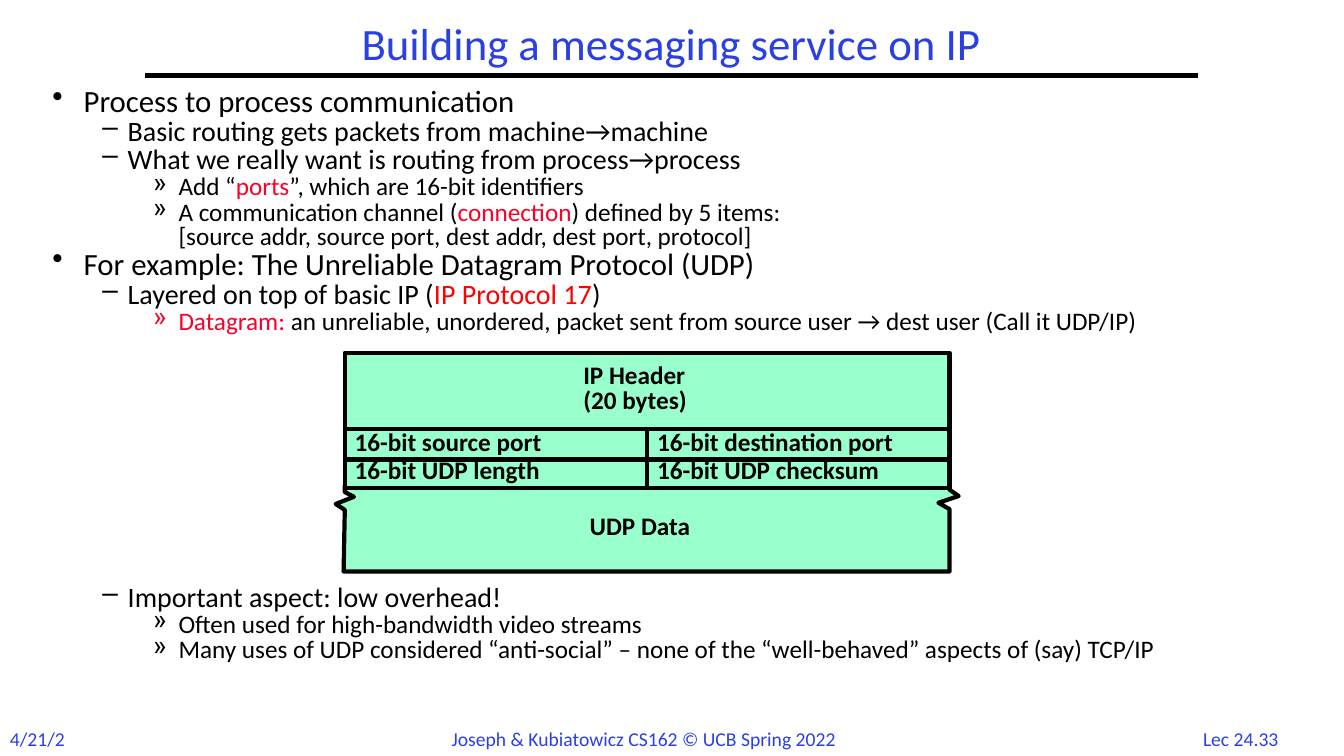
from lxml import etree
from pptx import Presentation
from pptx import util as u
from pptx.dml.color import RGBColor
from pptx.enum import shapes, text
from pptx.oxml.ns import qn

Cm, Pt = u.Cm, u.Pt
FONT = "Calibri"
HUE = {"blue": "2A40E2", "black": "000000", "rose": "FC0128",
       "red": "FF0000", "mint": "99FFCC"}
MID = text.MSO_ANCHOR.MIDDLE
CENTER = text.PP_ALIGN.CENTER

deck = Presentation()
deck.slide_width, deck.slide_height = Cm(33.87), Cm(19.05)
slide = deck.slides.add_slide(deck.slide_layouts[6])


def style(para, size, hue="black", bold=False, space=1.0):
    para.line_spacing = space
    font = para.font
    font.name, font.size, font.bold = FONT, Pt(size), bold
    font.color.rgb = RGBColor.from_string(HUE[hue])


def paint(shape):
    shape.shadow.inherit = False
    shape.fill.solid()
    shape.fill.fore_color.rgb = RGBColor.from_string(HUE["mint"])
    shape.line.color.rgb = RGBColor.from_string(HUE["black"])
    shape.line.width = Pt(3)


# Footer
for left, width, words, align in [
        (29.9, 2.74, "Lec 24.33", CENTER),
        (0, 2.03, "4/21/22", None),
        (11.13, 10.49, "Joseph & Kubiatowicz CS162 © UCB Spring 2022", None)]:
    box = slide.shapes.add_textbox(Cm(left), Cm(18.19), Cm(width), Cm(0.86))
    box.text_frame.word_wrap = False
    para = box.text_frame.paragraphs[0]
    para.text, para.alignment = words, align
    style(para, 14, "blue")

# Title and rule
rule = slide.shapes.add_connector(shapes.MSO_CONNECTOR.STRAIGHT,
                                  Cm(3.66), Cm(1.9), Cm(30.2), Cm(1.9))
rule.line.color.rgb = RGBColor.from_string(HUE["black"])
rule.line.width = Pt(3)
etree.SubElement(rule._element.spPr, qn("a:effectLst"))

title = slide.shapes.add_textbox(Cm(3.66), Cm(0.43), Cm(26.52), Cm(1.47))
title.text_frame.word_wrap = True
title.text_frame.vertical_anchor = MID
para = title.text_frame.paragraphs[0]
para.text, para.alignment = "Building a messaging service on IP", CENTER
style(para, 32, "blue", space=0.9)

# Bullets: level, then runs as plain text or (text, hue)
upper = [
    (0, ["Process to process communication"]),
    (1, ["Basic routing gets packets from machine→machine"]),
    (1, ["What we really want is routing from process→process"]),
    (2, ["Add “", ("ports", "rose"), "”, which are 16-bit identifiers"]),
    (2, ["A communication channel (", ("connection", "rose"),
         ") defined by 5 items:", "\n",
         "[source addr, source port, dest addr, dest port, protocol]"]),
    (0, ["For example: The Unreliable Datagram Protocol (UDP)"]),
    (1, ["Layered on top of basic IP (", ("IP Protocol 17", "red"), ")"]),
    (2, [("Datagram:", "rose"), " an unreliable, unordered, packet sent "
         "from source user → dest user (Call it UDP/IP)"]),
]
lower = [
    (1, ["Important aspect: low overhead!"]),
    (2, ["Often used for high-bandwidth video streams"]),
    (2, ["Many uses of UDP considered “anti-social” – none of the "
         "“well-behaved” aspects of (say) TCP/IP"]),
]
levels = [("•", 0.79, 0.79, 22), ("–", 1.9, 0.64, 20), ("»", 3.18, 0.64, 18)]

for top, height, items in [(2.11, 6.5, upper), (14.63, 2.4, lower)]:
    box = slide.shapes.add_textbox(Cm(1.07), Cm(top), Cm(32.59), Cm(height))
    frame = box.text_frame
    frame.word_wrap = True
    for i, (level, runs) in enumerate(items):
        para = frame.add_paragraph() if i else frame.paragraphs[0]
        mark, margin, hang, size = levels[level]
        para.level = level
        props = para._p.get_or_add_pPr()
        props.set("marL", str(Cm(margin)))
        props.set("indent", str(-Cm(hang)))
        etree.SubElement(props, qn("a:buChar")).set("char", mark)
        style(para, size, space=0.8)
        if i:
            para.space_before = Pt(1)
        for part in runs:
            if part == "\n":
                para.add_line_break()
                continue
            words, hue = (part, None) if isinstance(part, str) else part
            run = para.add_run()
            run.text = words
            if hue:
                run.font.color.rgb = RGBColor.from_string(HUE[hue])

# Data block with torn sides
torn = [(8.66, 14.4), (23.93, 14.4), (23.93, 12.83), (23.65, 12.67),
        (24.16, 12.5), (23.93, 12.34), (23.93, 12.24), (8.69, 12.24),
        (8.69, 12.4), (8.92, 12.52), (8.46, 12.7), (8.69, 12.85)]
edge = [(Cm(x), Cm(y)) for x, y in torn]
path = slide.shapes.build_freeform(*edge[0])
path.add_line_segments(edge[1:], close=True)
paint(path.convert_to_shape())

# Header fields, lower row first
fields = [["16-bit source port", "16-bit destination port"],
          ["16-bit UDP length", "16-bit UDP checksum"]]
for row in (1, 0):
    for col, words in enumerate(fields[row]):
        cell = slide.shapes.add_shape(
            shapes.MSO_SHAPE.RECTANGLE, Cm(8.69 + 7.62 * col),
            Cm(10.8 + 0.71 * row), Cm(7.62), Cm(0.78))
        paint(cell)
        cell.text_frame.word_wrap = True
        cell.text_frame.vertical_anchor = MID
        para = cell.text_frame.paragraphs[0]
        para.text, para.alignment = words, text.PP_ALIGN.LEFT
        style(para, 18, bold=True, space=0.8)

# IP header block
paint(slide.shapes.add_shape(shapes.MSO_SHAPE.RECTANGLE, Cm(8.69), Cm(8.89),
                             Cm(15.24), Cm(1.93)))

# Block labels
for left, top, height, lines in [(14.61, 12.88, 0.86, ["UDP Data"]),
                                 (14.45, 9.07, 1.52,
                                  ["IP Header", "(20 bytes)"])]:
    tag = slide.shapes.add_textbox(Cm(left), Cm(top), Cm(3.51), Cm(height))
    frame = tag.text_frame
    frame.word_wrap = True
    for i, words in enumerate(lines):
        para = frame.add_paragraph() if i else frame.paragraphs[0]
        para.text = words
        style(para, 18, bold=True, space=0.8)
        if i:
            para.space_before = Pt(1)

deck.save("out.pptx")
